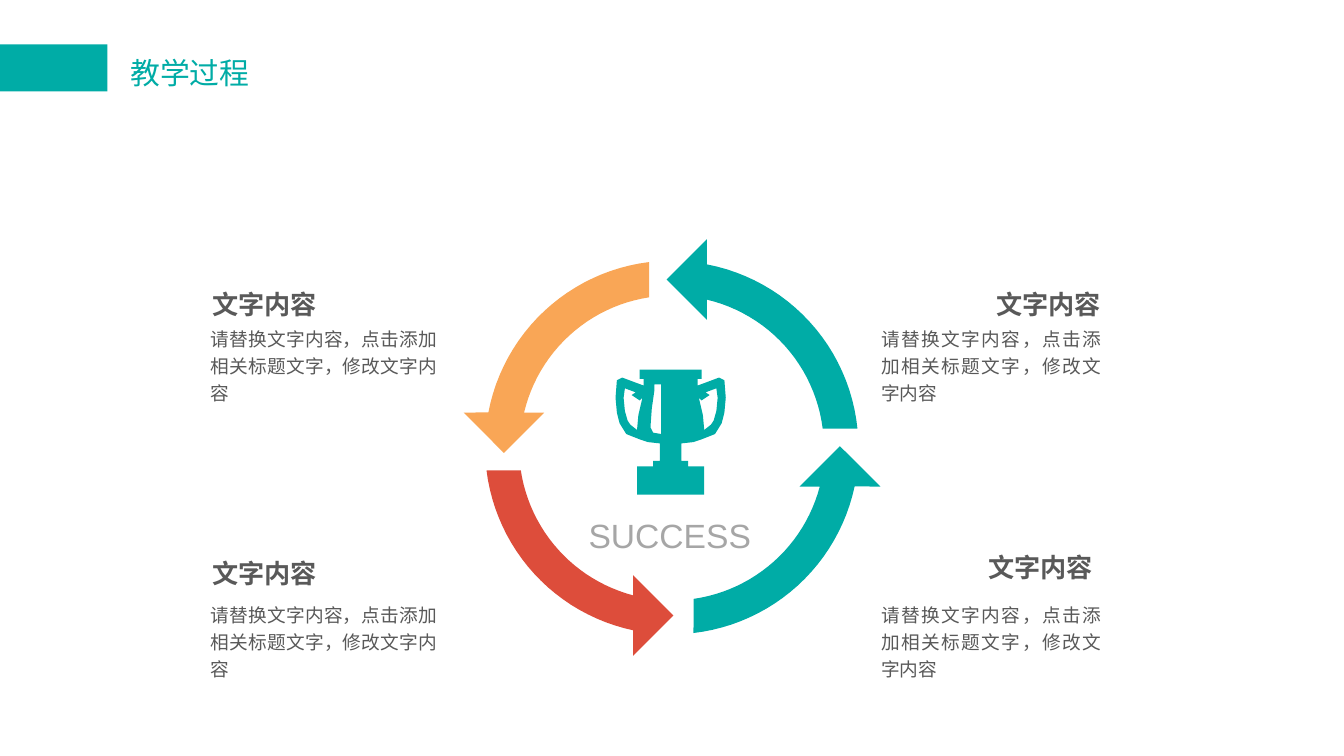
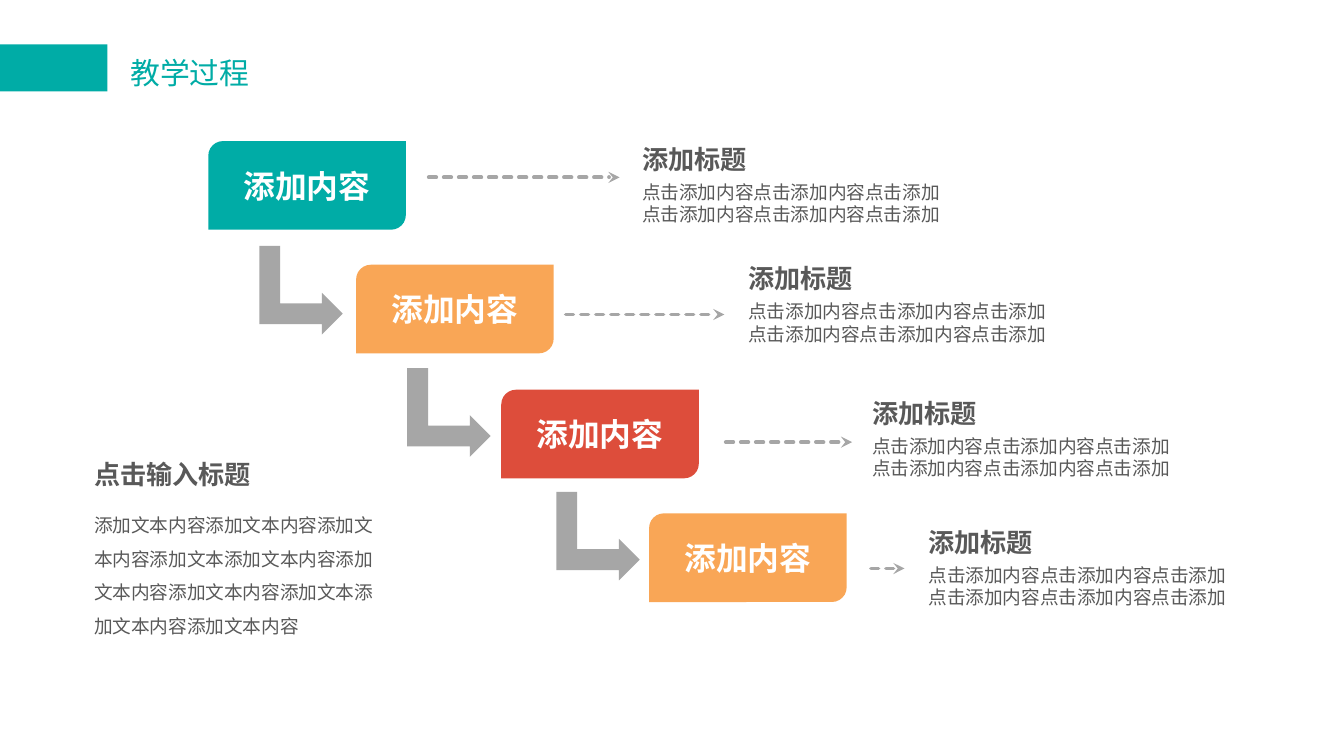
from math import atan2, cos, hypot, sin

from lxml.etree import SubElement
from pptx import Presentation
from pptx.dml.color import RGBColor
from pptx.enum.dml import MSO_LINE
from pptx.enum.lang import MSO_LANGUAGE_ID
from pptx.enum.shapes import MSO_CONNECTOR, MSO_SHAPE
from pptx.enum.text import MSO_ANCHOR, MSO_AUTO_SIZE, PP_ALIGN
from pptx.oxml.ns import qn
from pptx.util import Inches, Pt

TEAL, ORANGE, RED = "00ACA6", "F9A656", "DD4D3B"
GREY, DARK, WHITE = "A6A6A6", "595959", "FFFFFF"
LATIN, CHINESE, EAST_ASIAN = "Arial", "Noto Sans CJK SC", "Calibri"
DEFAULT_INSETS, TIGHT_INSETS = (0.1, 0.05), (0.07, 0.04)

# Trophy outline, inches from its top left corner
TROPHY_WIDTH = 0.82
TROPHY_LEFT_HALF = [
    (0.18, 0), (0.18, 0.07), (0.21, 0.07), (0.21, 0.12), (0.05, 0.06), (0.01, 0.08),
    (0, 0.21), (0.01, 0.32), (0.03, 0.4), (0.08, 0.48), (0.18, 0.52), (0.24, 0.54),
    (0.33, 0.55), (0.33, 0.68), (0.28, 0.68), (0.28, 0.72), (0.16, 0.72), (0.16, 0.93),
]
TROPHY_HANDLE = [
    (0.2, 0.21), (0.17, 0.34), (0.16, 0.45), (0.11, 0.41), (0.09, 0.38), (0.07, 0.31),
    (0.06, 0.21), (0.07, 0.14), (0.15, 0.17), (0.12, 0.19), (0.18, 0.23),
]
TROPHY_HIGHLIGHT = [
    (0.34, 0.11), (0.34, 0.48), (0.28, 0.47), (0.26, 0.43), (0.27, 0.29),
    (0.29, 0.15), (0.29, 0.11),
]


def color(value):
    return RGBColor.from_string(value)


def fill_shape(shape, value):
    shape.shadow.inherit = False
    shape.fill.solid()
    shape.fill.fore_color.rgb = color(value)
    shape.line.fill.background()


def format_text(shape, size, value, font, bold=False, align=PP_ALIGN.LEFT,
                spacing=None, insets=DEFAULT_INSETS):
    frame = shape.text_frame
    frame.margin_left = frame.margin_right = Inches(insets[0])
    frame.margin_top = frame.margin_bottom = Inches(insets[1])
    for paragraph in frame.paragraphs:
        paragraph.alignment = align
        paragraph.line_spacing = spacing
        for run in paragraph.runs:
            run.font.size = Pt(size)
            run.font.bold = bold
            run.font.color.rgb = color(value)
            run.font.name = font
            run.font.language_id = MSO_LANGUAGE_ID.SIMPLIFIED_CHINESE
            SubElement(run.font._element, qn("a:ea"), typeface=EAST_ASIAN)


def add_text(slide, box, text, size, value, font, wrap=True, middle=False, **style):
    shape = slide.shapes.add_textbox(*map(Inches, box))
    frame = shape.text_frame
    frame.text = text
    frame.word_wrap = wrap
    frame.auto_size = MSO_AUTO_SIZE.NONE if middle else MSO_AUTO_SIZE.SHAPE_TO_FIT_TEXT
    frame.vertical_anchor = MSO_ANCHOR.MIDDLE if middle else MSO_ANCHOR.TOP
    format_text(shape, size, value, font, **style)
    return shape


def add_outline(slide, left, top, contours, value):
    """Fill closed contours whose points are measured from left, top."""
    builder = None
    for contour in contours:
        start, *rest = [(Inches(left + x), Inches(top + y)) for x, y in contour]
        if builder is None:
            builder = slide.shapes.build_freeform(*start, scale=1.0)
        else:
            builder.move_to(*start)
        builder.add_line_segments(rest, close=True)
    fill_shape(builder.convert_to_shape(), value)


def add_titled_slide(presentation, title_text):
    slide = presentation.slides.add_slide(presentation.slide_layouts[5])
    band = slide.shapes.add_shape(
        MSO_SHAPE.RECTANGLE, 0, Inches(0.33), Inches(0.8), Inches(0.35))
    fill_shape(band, TEAL)
    title = slide.shapes.title
    title.left, title.top, title.width, title.height = map(Inches, (0.89, 0.37, 1.05, 0.35))
    title.text_frame.text = title_text
    title.text_frame.word_wrap = False
    title.text_frame.vertical_anchor = MSO_ANCHOR.TOP
    format_text(title, 16, TEAL, "Calibri", insets=(0.08, 0.04))
    return slide


# Cycle slide
def arc(start, end, steps=24):
    """Points on a circle around the origin, from start to the angle of end."""
    radius = hypot(*start)
    first, last = atan2(start[1], start[0]), atan2(end[1], end[0])
    angles = [first + (last - first) * step / steps for step in range(steps + 1)]
    return [(radius * cos(angle), radius * sin(angle)) for angle in angles]


def add_cycle(slide, center_x, center_y):
    # Colour, gap before the tail, and where the head starts
    arrows = ((TEAL, 0.14, 0.26), (ORANGE, 0.17, 0.26),
              (RED, 0.17, 0.29), (TEAL, 0.16, 0.29))
    for quarter_turns, (value, tail, head) in enumerate(arrows):
        points = (arc((1.38, -tail), (head, -1.36))
                  + [(head, -1.55), (head - 0.3, -1.25), (head, -0.95)]
                  + arc((head, -1.1), (1.12, -tail)))
        for _ in range(quarter_turns):
            points = [(y, -x) for x, y in points]
        add_outline(slide, center_x, center_y, [points], value)


def add_trophy(slide, left, top):
    def mirror(points):
        return [(TROPHY_WIDTH - x, y) for x, y in points]

    body = TROPHY_LEFT_HALF + mirror(TROPHY_LEFT_HALF)[::-1]
    contours = [body, TROPHY_HANDLE, mirror(TROPHY_HANDLE), TROPHY_HIGHLIGHT]
    add_outline(slide, left, top, contours, TEAL)


def add_note(slide, title_left, title_top, left, top, width, align):
    add_text(slide, (title_left, title_top, 0.99, 0.38), "文字内容", 14, DARK, LATIN,
             wrap=False, bold=True, align=align, spacing=1.2)
    add_text(slide, (left, top, width, 0.71),
             "请替换文字内容，点击添加相关标题文字，修改文字内容", 10, DARK, LATIN,
             align=PP_ALIGN.JUSTIFY, spacing=1.2)


def build_cycle_slide(presentation):
    slide = add_titled_slide(presentation, "教学过程")
    add_cycle(slide, 5, 3.33)
    add_trophy(slide, 4.58, 2.75)
    add_text(slide, (4.31, 3.73, 1.36, 0.44), "SUCCESS", 18, GREY, LATIN, wrap=False,
             align=PP_ALIGN.JUSTIFY, spacing=1.2, insets=TIGHT_INSETS)
    for title_left, title_top, left, top, width, align in (
        (1.48, 2.05, 1.47, 2.36, 1.88, PP_ALIGN.LEFT),
        (1.48, 4.05, 1.47, 4.41, 1.88, PP_ALIGN.LEFT),
        (7.24, 4.01, 6.46, 4.41, 1.83, PP_ALIGN.RIGHT),
        (7.3, 2.05, 6.46, 2.36, 1.83, PP_ALIGN.RIGHT),
    ):
        add_note(slide, title_left, title_top, left, top, width, align)


# Staircase slide
def add_step(slide, left, top, value):
    shape = slide.shapes.add_shape(
        MSO_SHAPE.ROUND_2_DIAG_RECTANGLE, *map(Inches, (left, top, 1.47, 0.66)))
    fill_shape(shape, value)
    shape.text_frame.text = "添加内容"
    shape.text_frame.vertical_anchor = MSO_ANCHOR.MIDDLE
    format_text(shape, 17, WHITE, CHINESE, bold=True, align=PP_ALIGN.CENTER,
                insets=(0.11, 0.05))


def add_elbow_arrow(slide, left, top):
    arrow = slide.shapes.add_shape(
        MSO_SHAPE.BENT_UP_ARROW, *map(Inches, (left, top, 0.66, 0.62)))
    arrow.rotation = 90
    fill_shape(arrow, GREY)


def add_dashed_arrow(slide, start, end, y):
    connector = slide.shapes.add_connector(
        MSO_CONNECTOR.STRAIGHT, *map(Inches, (start, y, end, y)))
    connector.line.color.rgb = color(GREY)
    connector.line.width = Pt(2)
    connector.line.dash_style = MSO_LINE.SQUARE_DOT
    properties = connector._element.spPr
    line = properties.find(qn("a:ln"))
    line.set("cap", "rnd")
    SubElement(line, qn("a:tailEnd"), type="stealth")
    SubElement(properties, qn("a:effectLst"))


def add_caption(slide, left, top):
    add_text(slide, (left, top, 1.33, 0.4), "添加标题", 14, DARK, CHINESE,
             middle=True, bold=True)
    line = "点击添加内容点击添加内容点击添加"
    body = add_text(slide, (left, top + 0.35, 3.1, 0.36), f"{line}\n{line}", 10, DARK,
                    CHINESE, middle=True)
    body.text_frame.paragraphs[1].runs[0].font.name = "Calibri"


def add_summary(slide, left, top):
    add_text(slide, (left, top, 1.33, 0.31), "点击输入标题", 14, DARK, CHINESE,
             wrap=False, bold=True, insets=TIGHT_INSETS)
    add_text(slide, (left, top + 0.33, 2.3, 1.09),
             "添加文本内容添加文本内容添加文本内容添加文本添加文本内容添加"
             "文本内容添加文本内容添加文本添加文本内容添加文本内容",
             10, DARK, CHINESE, spacing=1.5, insets=TIGHT_INSETS)


def build_staircase_slide(presentation):
    slide = add_titled_slide(presentation, "教学过程")
    # Step corner and colour, dashed arrow ends and height, caption corner
    for left, top, value, start, end, arrow_y, caption_left, caption_top in (
        (1.55, 1.05, TEAL, 3.19, 4.61, 1.32, 4.68, 0.98),
        (2.65, 1.97, ORANGE, 4.21, 5.39, 2.34, 5.47, 1.87),
        (3.73, 2.9, RED, 5.4, 6.34, 3.29, 6.39, 2.87),
        (4.83, 3.82, ORANGE, 6.48, 6.73, 4.23, 6.81, 3.83),
    ):
        add_step(slide, left, top, value)
        add_dashed_arrow(slide, start, end, arrow_y)
        add_caption(slide, caption_left, caption_top)
    for left, top in ((1.91, 1.85), (3.01, 2.76), (4.12, 3.68)):
        add_elbow_arrow(slide, left, top)
    add_summary(slide, 0.63, 3.37)


def main():
    presentation = Presentation()
    # Widescreen, 16 to 9
    presentation.slide_width = Inches(10)
    presentation.slide_height = Inches(10 * 9 / 16)
    presentation.element.find(qn("p:sldSz")).attrib.pop("type", None)
    build_cycle_slide(presentation)
    build_staircase_slide(presentation)
    presentation.save("out.pptx")


if __name__ == "__main__":
    main()
